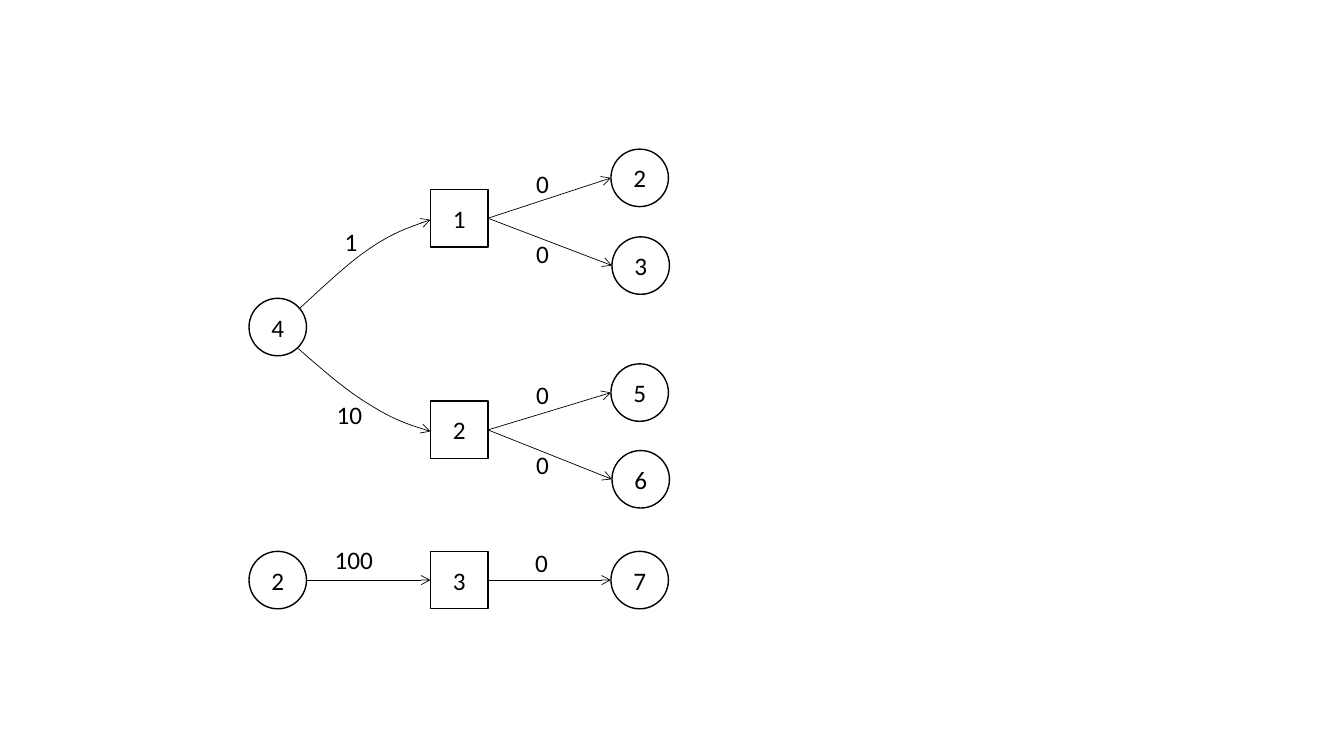
from lxml import etree
from pptx import Presentation
from pptx.dml.color import RGBColor
from pptx.enum import shapes, text
from pptx.oxml import ns
from pptx.util import Inches, Pt

COLORS = {"ink": "000000", "paper": "FFFFFF"}
FONT = "Calibri"
NODE_SIZE = 0.57
RADIUS = NODE_SIZE / 2
STATE_LEFT, ACTION_LEFT, RESULT_LEFT = 2.47, 4.27, 6.06
ACTION_RIGHT = ACTION_LEFT + NODE_SIZE


def color(name):
    return RGBColor.from_string(COLORS[name])


def write_text(shape, content, size=18, align=text.PP_ALIGN.LEFT,
               anchor=text.MSO_ANCHOR.TOP, wrap=True):
    frame = shape.text_frame
    frame.word_wrap = wrap
    frame.vertical_anchor = anchor
    paragraph = frame.paragraphs[0]
    paragraph.alignment = align
    run = paragraph.add_run()
    run.text = content
    run.font.name = FONT
    run.font.size = Pt(size)
    run.font.color.rgb = color("ink")


def set_line(shape, width):
    shape.line.color.rgb = color("ink")
    shape.line.width = Pt(width)


def add_arrowhead(shape):
    line = shape.line._get_or_add_ln()
    etree.SubElement(line, ns.qn("a:tailEnd"), type="arrow")


def add_node(slide, kind, label, left, top):
    shape = slide.shapes.add_shape(
        kind, Inches(left), Inches(top), Inches(NODE_SIZE), Inches(NODE_SIZE))
    shape.shadow.inherit = False
    shape.fill.solid()
    shape.fill.fore_color.rgb = color("paper")
    set_line(shape, 1)
    write_text(shape, label, align=text.PP_ALIGN.CENTER,
               anchor=text.MSO_ANCHOR.MIDDLE)


def add_circle(slide, label, left, top):
    add_node(slide, shapes.MSO_SHAPE.OVAL, label, left, top)


def add_square(slide, label, top):
    add_node(slide, shapes.MSO_SHAPE.RECTANGLE, label, ACTION_LEFT, top)


def add_arrow(slide, start, end):
    points = [Inches(value) for value in (*start, *end)]
    connector = slide.shapes.add_connector(
        shapes.MSO_CONNECTOR.STRAIGHT, *points)
    set_line(connector, 0.5)
    add_arrowhead(connector)
    etree.SubElement(connector._element.spPr, ns.qn("a:effectLst"))


def add_curved_arrow(slide, points):
    start, *others = [(Inches(x), Inches(y)) for x, y in points]
    builder = slide.shapes.build_freeform(*start)
    builder.add_line_segments(others, close=False)
    curve = builder.convert_to_shape()
    segments = list(curve._element.iter(ns.qn("a:lnTo")))
    outline = segments[0].getparent()
    for first in range(0, len(segments), 3):
        bezier = etree.SubElement(outline, ns.qn("a:cubicBezTo"))
        for segment in segments[first:first + 3]:
            bezier.append(segment[0])
            outline.remove(segment)
    curve.fill.background()
    set_line(curve, 0.5)
    add_arrowhead(curve)
    curve.shadow.inherit = False


def add_label(slide, content, left, top, width=0.46, wrap=True):
    box = slide.shapes.add_textbox(
        Inches(left), Inches(top), Inches(width), Inches(0.4))
    write_text(box, content, wrap=wrap)
    box.text_frame.auto_size = text.MSO_AUTO_SIZE.SHAPE_TO_FIT_TEXT


def add_branch(slide, action, top, results, result_tops, label_tops):
    add_square(slide, action, top)
    lefts = (RESULT_LEFT, RESULT_LEFT + 0.01)
    for result, left, result_top, label_top in zip(
            results, lefts, result_tops, label_tops):
        add_circle(slide, result, left, result_top)
        add_arrow(slide, (ACTION_RIGHT, top + RADIUS),
                  (left, result_top + RADIUS))
        add_label(slide, "0", 5.22, label_top)


def add_chain(slide, top):
    middle = top + RADIUS
    add_circle(slide, "2", STATE_LEFT, top)
    add_square(slide, "3", top)
    add_circle(slide, "7", RESULT_LEFT, top)
    add_arrow(slide, (STATE_LEFT + NODE_SIZE, middle), (ACTION_LEFT, middle))
    add_arrow(slide, (ACTION_RIGHT, middle), (RESULT_LEFT, middle))
    add_label(slide, "100", 3.22, 5.35, width=0.73)
    add_label(slide, "0", 5.21, 5.38)


def main():
    presentation = Presentation()
    presentation.slide_width = Inches(13.33)
    presentation.slide_height = Inches(7.5)
    slide = presentation.slides.add_slide(presentation.slide_layouts[6])

    add_branch(slide, "1", 1.88, ("2", "3"), (1.48, 2.35), (1.62, 2.32))
    add_branch(slide, "2", 3.98, ("5", "6"), (3.61, 4.47), (3.71, 4.41))
    add_curved_arrow(slide, [
        (2.96, 3.07), (3.2, 2.85), (3.44, 2.62), (3.66, 2.47),
        (3.88, 2.32), (4.07, 2.25), (4.27, 2.18)])
    add_curved_arrow(slide, [
        (2.96, 3.46), (3.2, 3.67), (3.44, 3.88), (3.66, 4.01),
        (3.88, 4.15), (4.07, 4.22), (4.27, 4.28)])
    add_circle(slide, "4", STATE_LEFT, 2.96)
    add_label(slide, "1", 3.32, 2.2, width=0.33, wrap=False)
    add_label(slide, "10", 3.24, 3.91)
    add_chain(slide, 5.47)

    presentation.save("out.pptx")


main()
